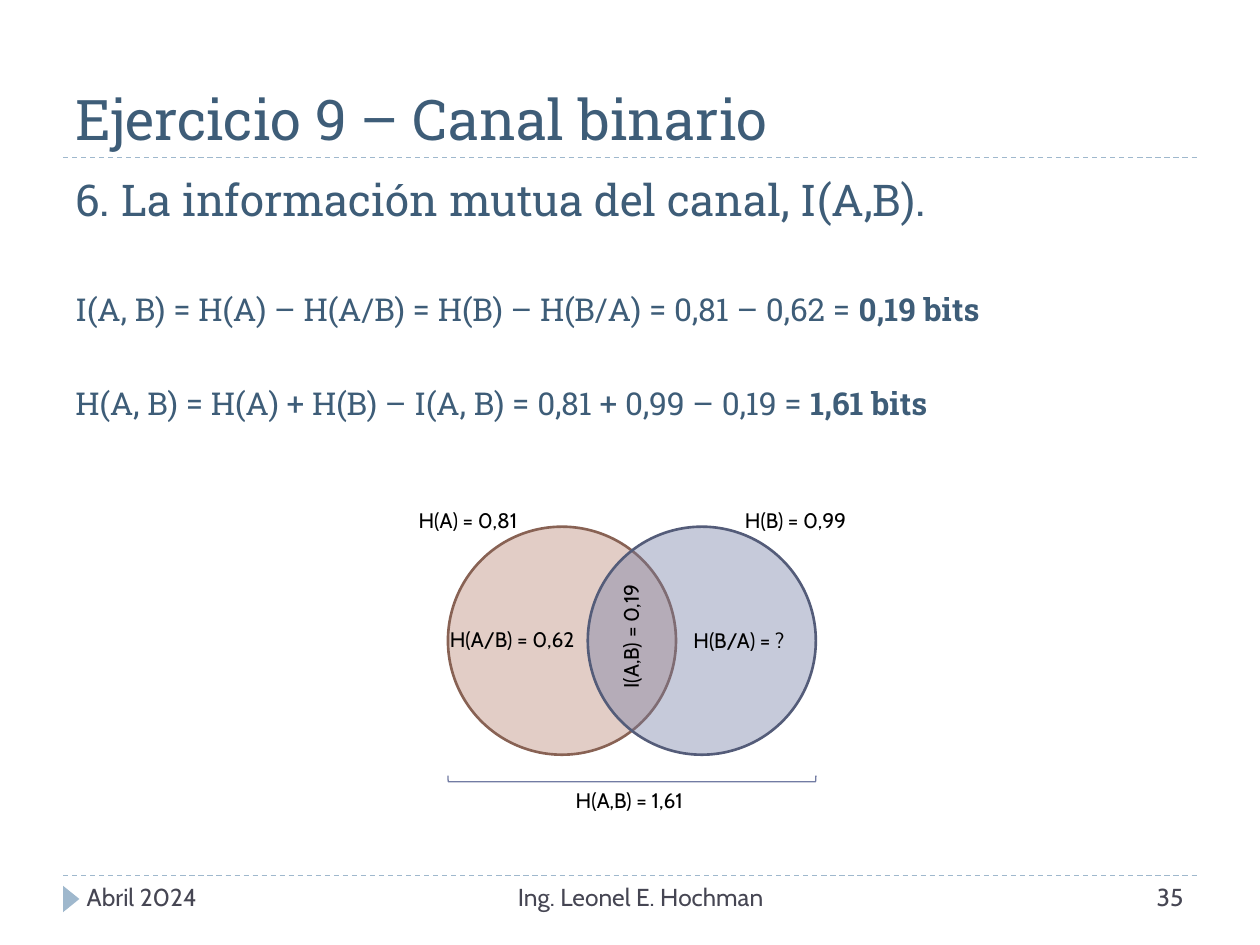
from lxml.etree import SubElement
from pptx import Presentation
from pptx.dml.color import RGBColor
from pptx.enum.dml import MSO_LINE
from pptx.enum.shapes import MSO_CONNECTOR, MSO_SHAPE
from pptx.enum.text import MSO_ANCHOR, PP_ALIGN
from pptx.oxml.ns import qn
from pptx.util import Inches, Pt

COLORS = {
    "heading": "3E5D78", "footer": "464653", "rule": "9FB8CD", "label": "000000",
    "a_fill": "B88472", "a_line": "886254", "b_fill": "727CA3", "b_line": "545C79",
}
HEADING_FONT, LABEL_FONT = "Roboto Slab", "Cabin"


def color(name):
    return RGBColor.from_string(COLORS[name])


def add_runs(paragraph, runs, size, font, ink):
    """Add (text, bold) runs in one common format."""
    for text, bold in runs:
        run = paragraph.add_run()
        run.text = text
        run.font.color.rgb = color(ink)
        for key, value in {"size": Pt(size), "name": font, "bold": bold}.items():
            setattr(run.font, key, value)


def add_frame(slide, left, top, width, height, anchor=MSO_ANCHOR.TOP, rotation=0):
    box = slide.shapes.add_textbox(*map(Inches, (left, top, width, height)))
    box.rotation = rotation
    frame = box.text_frame
    frame.word_wrap = True
    frame.vertical_anchor = anchor
    return frame


def add_label(slide, text, left, top, width, height=0.3, size=12, ink="label",
              align=PP_ALIGN.CENTER, rotation=0):
    paragraph = add_frame(slide, left, top, width, height, rotation=rotation).paragraphs[0]
    paragraph.alignment = align
    add_runs(paragraph, [(text, False)], size, LABEL_FONT, ink)


def add_outline(slide, preset, left, top, width, height, fill=None, line=None,
                weight=0.75, opacity=None, rotation=0):
    shape = slide.shapes.add_shape(preset, *map(Inches, (left, top, width, height)))
    shape.shadow.inherit = False
    shape.rotation = rotation
    if fill:
        shape.fill.solid()
        shape.fill.fore_color.rgb = color(fill)
    else:
        shape.fill.background()
    if opacity:
        rgb = shape.fill._xPr.find(qn("a:solidFill"))[0]
        SubElement(rgb, qn("a:alpha"), val=str(opacity * 1000))
    if line:
        shape.line.color.rgb = color(line)
        shape.line.width = Pt(weight)
    else:
        shape.line.fill.background()


def add_rule(slide, left, top, width):
    rule = slide.shapes.add_connector(
        MSO_CONNECTOR.STRAIGHT, *map(Inches, (left, top, left + width, top)))
    rule.line.color.rgb = color("rule")
    rule.line.width = Pt(0.75)
    rule.line.dash_style = MSO_LINE.DASH
    SubElement(rule._element.spPr, qn("a:effectLst"))


def add_title(slide, left, top, width, height):
    add_rule(slide, left, top + height, width)
    frame = add_frame(slide, left, top, width, height, MSO_ANCHOR.BOTTOM)
    add_runs(frame.paragraphs[0], [("Ejercicio 9 – Canal binario", False)],
             32, HEADING_FONT, "heading")


def add_body(slide, left, top, width, height):
    frame = add_frame(slide, left, top, width, height)
    lines = [
        (25, 0, [("6. La información mutua del canal, I(A,B).", False)]),
        (18, 37, [("I(A, B) = H(A) – H(A/B) = H(B) – H(B/A) = 0,81 – 0,62 = ", False),
                  ("0,19 bits", True)]),
        (18, 32, [("H(A, B) = H(A) + H(B) – I(A, B) = 0,81 + 0,99 – 0,19 = ", False),
                  ("1,61 bits", True)]),
    ]
    for index, (size, gap, runs) in enumerate(lines):
        paragraph = frame.add_paragraph() if index else frame.paragraphs[0]
        paragraph.space_before = Pt(gap)
        add_runs(paragraph, runs, size, HEADING_FONT, "heading")


def add_venn(slide, left, top, width):
    """Two overlapping entropy circles with a bracket for their union."""
    diameter, step = 1.81, 1.11
    span = diameter + step
    center = left + width / 2
    circles_left, circles_top = center - span / 2, top + 0.2
    for index, event in enumerate("ab"):
        add_outline(slide, MSO_SHAPE.OVAL, circles_left + index * step, circles_top,
                    diameter, diameter, f"{event}_fill", f"{event}_line", 1.5, 40)

    depth, bracket_middle = 0.05, top + 2.2
    add_outline(slide, MSO_SHAPE.LEFT_BRACKET, center - depth / 2,
                bracket_middle - span / 2, depth, span, line="b_fill", rotation=270)

    outer = 1.13
    labels = [
        ("H(A) = 0,81", left, 0, outer, 0),
        ("H(B) = 0,99", left + width - outer, 0, outer, 0),
        ("I(A,B) = 0,19", center - 0.76, 0.92, 1.5, 270),
        ("H(A,B) = 1,61", center - 1, 2.22, 1.96, 0),
        ("H(A/B) = 0,62", left + 0.17, 0.94, 1.49, 0),
        ("H(B/A) = ?", left + 1.97, 0.95, 1.49, 0),
    ]
    for text, x, y, label_width, rotation in labels:
        add_label(slide, text, x, top + y, label_width, rotation=rotation)


def add_footer(slide, left, top, width, height):
    add_rule(slide, left, top, width)
    add_outline(slide, MSO_SHAPE.ISOSCELES_TRIANGLE, left - 0.04, top + 0.12,
                0.21, 0.13, fill="rule", rotation=90)
    parts = [
        ("Abril 2024", 0.09, 2.5, PP_ALIGN.LEFT),
        ("Ing. Leonel E. Hochman", 2.67, 3.83, PP_ALIGN.CENTER),
        ("35", width - 2.18, 2.17, PP_ALIGN.RIGHT),
    ]
    for text, offset, part_width, align in parts:
        add_label(slide, text, left + offset, top, part_width, height, 14, "footer", align)


def main():
    deck = Presentation()
    deck.slide_width, deck.slide_height = Inches(10), Inches(7.5)
    slide = deck.slides.add_slide(deck.slide_layouts[6])
    margin, content_width = 0.5, 9
    add_title(slide, margin, 0.17, content_width, 1.08)
    add_body(slide, margin, 1.32, content_width, 2.4)
    add_venn(slide, 3.15, 3.98, 3.73)
    add_footer(slide, margin, 6.95, content_width, 0.4)
    deck.save("out.pptx")


if __name__ == "__main__":
    main()
